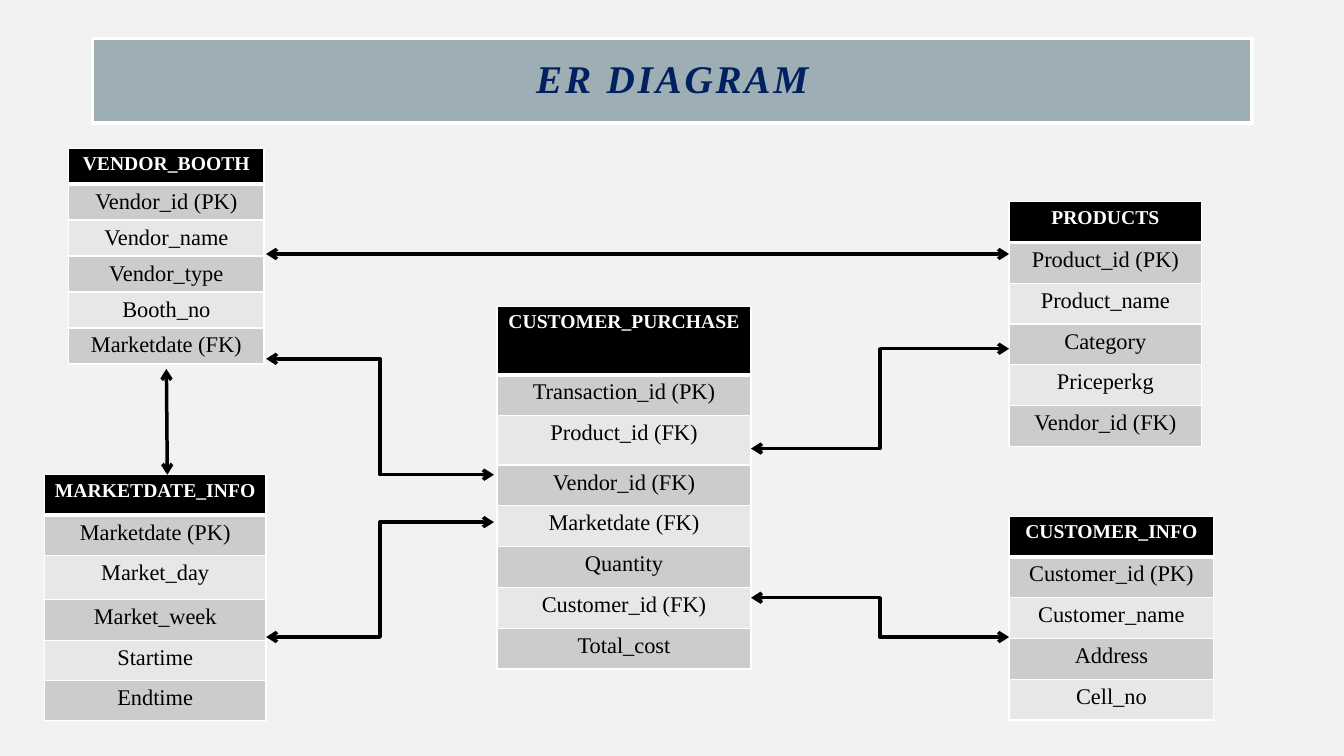
from pptx import Presentation
from pptx.dml.color import RGBColor
from pptx.enum.shapes import MSO_CONNECTOR, MSO_SHAPE
from pptx.enum.text import MSO_ANCHOR, PP_ALIGN
from pptx.oxml import parse_xml
from pptx.oxml.ns import nsdecls
from pptx.util import Inches, Pt

RECTANGLE = MSO_SHAPE.RECTANGLE
STRAIGHT, ELBOW = MSO_CONNECTOR.STRAIGHT, MSO_CONNECTOR.ELBOW
CENTER, MIDDLE = PP_ALIGN.CENTER, MSO_ANCHOR.MIDDLE

BLACK = RGBColor(0x00, 0x00, 0x00)
WHITE = RGBColor(0xFF, 0xFF, 0xFF)
NAVY = RGBColor(0x00, 0x20, 0x60)
BANNER = RGBColor(0x9D, 0xAE, 0xB4)
PAPER = RGBColor(0xF2, 0xF2, 0xF2)
BANDS = (RGBColor(0xE7, 0xE7, 0xE7), RGBColor(0xCC, 0xCC, 0xCC))

FONT = "Times New Roman"
WIDTH, HEIGHT = Inches(13.33), Inches(7.5)

# Percent shares of the slide: edges the arrows run between
LEFT_EDGE, PURCHASE_LEFT = 19.8, 36.75
PURCHASE_RIGHT, RIGHT_EDGE = 55.88, 75.08

# Left, top, width, row height, heights of taller rows, entity, fields
ENTITIES = [
    (5.1, 19.6, 14.55, 4.76, {}, "VENDOR_BOOTH",
     ["Vendor_id (PK)", "Vendor_name", "Vendor_type", "Booth_no",
      "Marketdate (FK)"]),
    (3.3, 62.8, 16.5, 5.33, {2: 5.9}, "MARKETDATE_INFO",
     ["Marketdate (PK)", "Market_day", "Market_week", "Startime", "Endtime"]),
    (RIGHT_EDGE, 26.67, 14.33, 5.4, {}, "PRODUCTS",
     ["Product_id (PK)", "Product_name", "Category", "Priceperkg",
      "Vendor_id (FK)"]),
    (RIGHT_EDGE, 68.27, 15.23, 5.4, {}, "CUSTOMER_INFO",
     ["Customer_id (PK)", "Customer_name", "Address", "Cell_no"]),
    (36.98, 40.53, 18.9, 5.4, {0: 9.07, 2: 6.53}, "CUSTOMER_PURCHASE",
     ["Transaction_id (PK)", "Product_id (FK)", "Vendor_id (FK)",
      "Marketdate (FK)", "Quantity", "Customer_id (FK)", "Total_cost"]),
]

# Kind, start and end
RELATIONS = [
    (STRAIGHT, (12.38, 48.8), (12.45, 62.8)),
    (ELBOW, (LEFT_EDGE, 47.47), (PURCHASE_LEFT, 62.8)),
    (ELBOW, (LEFT_EDGE, 84.27), (PURCHASE_LEFT, 69.07)),
    (ELBOW, (RIGHT_EDGE, 46.13), (PURCHASE_RIGHT, 59.33)),
    (ELBOW, (RIGHT_EDGE, 84.27), (PURCHASE_RIGHT, 79.07)),
    (STRAIGHT, (LEFT_EDGE, 33.6), (RIGHT_EDGE, 33.6)),
]


def across(share):
    return round(WIDTH * share / 100)


def down(share):
    return round(HEIGHT * share / 100)


def write(frame, text, size, color, bold, italic=False):
    """Set one centred line of text and return its run."""
    frame.text = text
    para = frame.paragraphs[0]
    para.alignment = CENTER
    span = para.runs[0]
    span.font.name, span.font.size = FONT, Pt(size)
    span.font.bold, span.font.italic = bold, italic
    span.font.color.rgb = color
    return span


def add_banner(page, text):
    box = page.shapes.add_shape(
        RECTANGLE, across(6.9), down(5.07), across(86.25), down(11.2))
    box.shadow.inherit = False
    box.fill.solid()
    box.fill.fore_color.rgb = BANNER
    box.line.color.rgb = WHITE
    box.line.width = Pt(2.5)
    frame = box.text_frame
    frame.word_wrap = True
    frame.vertical_anchor = MIDDLE
    span = write(frame, text, 28, NAVY, bold=True, italic=True)
    frame.paragraphs[0].line_spacing = 0.9
    span._r.get_or_add_rPr().set("spc", "200")


def add_borders(cell, bottom):
    """Draw white cell borders, with the bottom width given in points."""
    properties = cell._tc.get_or_add_tcPr()
    for side, points in (("L", 1), ("R", 1), ("T", 1), ("B", bottom)):
        properties.append(parse_xml(
            f'<a:ln{side} {nsdecls("a")} w="{Pt(points)}"><a:solidFill>'
            f'<a:srgbClr val="{WHITE}"/></a:solidFill></a:ln{side}>'))


def add_entity(page, left, top, width, row_height, taller, name, fields):
    labels = [name] + fields
    heights = [taller.get(i, row_height) for i in range(len(labels))]
    table = page.shapes.add_table(
        len(labels), 1, across(left), down(top),
        across(width), down(sum(heights))).table
    for i, (label, height) in enumerate(zip(labels, heights)):
        header = i == 0
        table.rows[i].height = down(height)
        cell = table.cell(i, 0)
        add_borders(cell, 3 if header else 1)
        cell.fill.solid()
        cell.fill.fore_color.rgb = BLACK if header else BANDS[i % 2]
        write(cell.text_frame, label, 14 if header else 16,
              WHITE if header else BLACK, bold=header)


def add_relation(page, kind, start, end):
    arrow = page.shapes.add_connector(
        kind, across(start[0]), down(start[1]), across(end[0]), down(end[1]))
    arrow.line.color.rgb = BLACK
    arrow.line.width = Pt(2.5)
    line = arrow.line._get_or_add_ln()
    for tip in ("headEnd", "tailEnd"):
        line.append(parse_xml(f'<a:{tip} {nsdecls("a")} type="arrow"/>'))
    arrow._element.spPr.append(
        parse_xml(f'<a:effectLst {nsdecls("a")}/>'))


def main():
    deck = Presentation()
    deck.slide_width, deck.slide_height = WIDTH, HEIGHT
    page = deck.slides.add_slide(deck.slide_layouts[6])
    page.background.fill.solid()
    page.background.fill.fore_color.rgb = PAPER

    add_banner(page, "ER DIAGRAM")
    for entity in ENTITIES:
        add_entity(page, *entity)
    for relation in RELATIONS:
        add_relation(page, *relation)

    deck.save("out.pptx")


if __name__ == "__main__":
    main()
